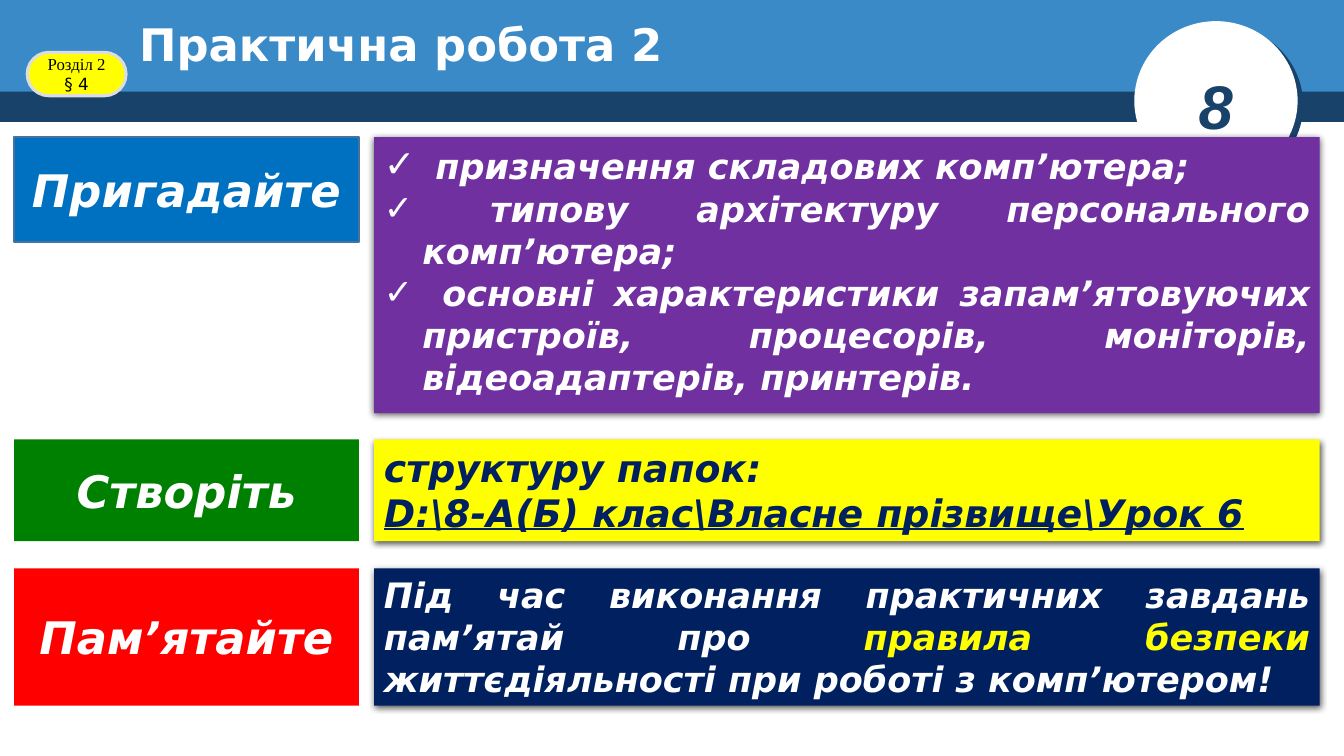
"""Build the practical work slide: what to recall, create and remember."""
from dataclasses import dataclass
from typing import Optional

from lxml import etree
from pptx import Presentation
from pptx.dml.color import RGBColor
from pptx.enum.shapes import MSO_SHAPE
from pptx.enum.text import MSO_ANCHOR, MSO_AUTO_SIZE, PP_ALIGN
from pptx.oxml.ns import qn
from pptx.util import Inches, Pt

RECT, OVAL, ROUNDED = MSO_SHAPE.RECTANGLE, MSO_SHAPE.OVAL, MSO_SHAPE.ROUNDED_RECTANGLE
TOP, MIDDLE = MSO_ANCHOR.TOP, MSO_ANCHOR.MIDDLE
LEFT, CENTER, JUSTIFY = PP_ALIGN.LEFT, PP_ALIGN.CENTER, PP_ALIGN.JUSTIFY

BLACK = RGBColor(0x00, 0x00, 0x00)
WHITE = RGBColor(0xFF, 0xFF, 0xFF)
YELLOW = RGBColor(0xFF, 0xFF, 0x00)
SKY = RGBColor(0x39, 0x8A, 0xC7)
DEEP_BLUE = RGBColor(0x19, 0x42, 0x6B)
NAVY = RGBColor(0x00, 0x20, 0x60)
PURPLE = RGBColor(0x70, 0x30, 0xA0)
BLUE = RGBColor(0x00, 0x70, 0xC0)
BLUE_EDGE = RGBColor(0x43, 0x73, 0x9E)
GREEN = RGBColor(0x00, 0x80, 0x00)
RED = RGBColor(0xFF, 0x00, 0x00)
GRAY = RGBColor(0xDD, 0xDD, 0xDD)

BODY_FONT = "DejaVu Sans"
SLIDE_WIDTH = 13.33
LABEL_LEFT, LABEL_WIDTH = 0.14, 3.42
PANEL_LEFT, PANEL_WIDTH = 3.71, 9.38
BULLET_INDENT = 0.38


@dataclass(frozen=True)
class Box:
    left: float
    top: float
    width: float
    height: float

    def lengths(self) -> tuple:
        return tuple(Inches(v) for v in (self.left, self.top, self.width, self.height))


@dataclass(frozen=True)
class Shadow:
    color: RGBColor
    alpha: int
    blur: float
    distance: float
    angle: int


@dataclass(frozen=True)
class Span:
    text: str
    size: float
    color: RGBColor
    font: str = BODY_FONT
    bold: bool = True
    italic: bool = True
    underline: bool = False


@dataclass(frozen=True)
class Section:
    top: float
    panel_height: float
    label_height: float
    label: str
    label_fill: RGBColor
    panel_fill: RGBColor
    paragraphs: list
    bulleted: bool = False
    label_edge: Optional[RGBColor] = None


PANEL_SHADOW = Shadow(BLACK, 63, 4.5, 1.5, 90)
BADGE_SHADOW = Shadow(DEEP_BLUE, 100, 0, 5, 37)

SECTIONS = [
    Section(1.36, 2.74, 1.04, "Пригадайте", BLUE, PURPLE, [
        [Span(" ", 27, WHITE), Span("призначення складових комп’ютера;", 25, WHITE)],
        [Span(" типову архітектуру персонального комп’ютера;", 25, WHITE)],
        [Span(" основні характеристики запам’ятовуючих пристроїв, процесорів, "
              "моніторів, відеоадаптерів, принтерів.", 25, WHITE)],
    ], bulleted=True, label_edge=BLUE_EDGE),
    Section(4.36, 1.01, 1.01, "Створіть", GREEN, YELLOW, [
        [Span("структуру папок:", 27, NAVY)],
        [Span("D:\\8-А(Б) клас\\Власне прізвище\\Урок 6", 27, NAVY, underline=True)],
    ]),
    Section(5.64, 1.36, 1.36, "Пам’ятайте", RED, NAVY, [
        [Span("Під час виконання практичних завдань пам’ятай про ", 25, WHITE),
         Span("правила безпеки", 25, YELLOW),
         Span(" життєдіяльності при роботі з комп’ютером!", 25, WHITE)],
    ]),
]


def add_block(slide, kind, box: Box, fill: RGBColor, edge: Optional[RGBColor] = None,
              edge_width: float = 1, shadow: Optional[Shadow] = None):
    block = slide.shapes.add_shape(kind, *box.lengths())
    block.shadow.inherit = False
    block.fill.solid()
    block.fill.fore_color.rgb = fill
    if edge is None:
        block.line.fill.background()
    else:
        block.line.color.rgb = edge
        block.line.width = Pt(edge_width)
    if shadow is not None:
        effects = block._element.spPr.find(qn("a:effectLst"))
        outer = etree.SubElement(effects, qn("a:outerShdw"), blurRad=str(Pt(shadow.blur)),
                                 dist=str(Pt(shadow.distance)),
                                 dir=str(shadow.angle * 60000), algn="ctr", rotWithShape="0")
        color = etree.SubElement(outer, qn("a:srgbClr"), val=str(shadow.color))
        etree.SubElement(color, qn("a:alpha"), val=str(shadow.alpha * 1000))
    return block


def add_check_bullet(paragraph) -> None:
    properties = paragraph._p.get_or_add_pPr()
    properties.set("marL", str(Inches(BULLET_INDENT)))
    properties.set("indent", str(-Inches(BULLET_INDENT)))
    etree.SubElement(properties, qn("a:buFont"), typeface=BODY_FONT)
    etree.SubElement(properties, qn("a:buChar"), char="✓")


def write(frame, paragraphs: list, align, anchor, bulleted: bool = False) -> None:
    frame.word_wrap = True
    frame.auto_size = MSO_AUTO_SIZE.NONE
    frame.vertical_anchor = anchor
    for index, spans in enumerate(paragraphs):
        paragraph = frame.add_paragraph() if index else frame.paragraphs[0]
        paragraph.alignment = align
        if bulleted:
            add_check_bullet(paragraph)
        for span in spans:
            run = paragraph.add_run()
            run.text = span.text
            run.font.name = span.font
            run.font.size = Pt(span.size)
            run.font.bold = span.bold
            run.font.italic = span.italic
            run.font.underline = span.underline
            run.font.color.rgb = span.color


def add_header(slide) -> None:
    add_block(slide, RECT, Box(0, 0.87, SLIDE_WIDTH, 0.34), DEEP_BLUE)
    add_block(slide, RECT, Box(0, 0, SLIDE_WIDTH, 0.91), SKY)
    add_block(slide, OVAL, Box(11.25, 0.21, 1.62, 1.58), WHITE, shadow=BADGE_SHADOW)
    number = slide.shapes.add_textbox(*Box(11.79, 0.62, 0.83, 0.84).lengths())
    write(number.text_frame, [[Span("8", 44, DEEP_BLUE, "Arial")]], LEFT, TOP)

    title = slide.shapes.title
    title.left, title.top, title.width, title.height = Box(1.28, 0.18, 9.9, 0.58).lengths()
    write(title.text_frame, [[Span("Практична робота 2", 32, WHITE, italic=False)]], LEFT, MIDDLE)
    title.text_frame.paragraphs[0].line_spacing = 0.9
    slide.shapes._spTree.append(title._element)

    chapter = add_block(slide, ROUNDED, Box(0.27, 0.52, 0.98, 0.43), YELLOW, GRAY, 2.25)
    chapter.adjustments[0] = 0.5
    write(chapter.text_frame, [[
        Span("Розділ 2 ", 12, BLACK, "Times New Roman", bold=False, italic=False),
        Span("§ 4", 12, BLACK, bold=False, italic=False),
    ]], CENTER, MIDDLE)


def add_section(slide, section: Section) -> None:
    panel = add_block(slide, RECT, Box(PANEL_LEFT, section.top, PANEL_WIDTH, section.panel_height),
                      section.panel_fill, shadow=PANEL_SHADOW)
    write(panel.text_frame, section.paragraphs, JUSTIFY, TOP, section.bulleted)
    label = add_block(slide, RECT, Box(LABEL_LEFT, section.top, LABEL_WIDTH, section.label_height),
                      section.label_fill, section.label_edge)
    write(label.text_frame, [[Span(section.label, 32, WHITE)]], CENTER, MIDDLE)


def main() -> None:
    deck = Presentation()
    deck.slide_width, deck.slide_height = Inches(SLIDE_WIDTH), Inches(7.5)
    slide = deck.slides.add_slide(deck.slide_layouts[5])
    add_header(slide)
    for section in SECTIONS:
        add_section(slide, section)
    deck.save("out.pptx")


if __name__ == "__main__":
    main()
